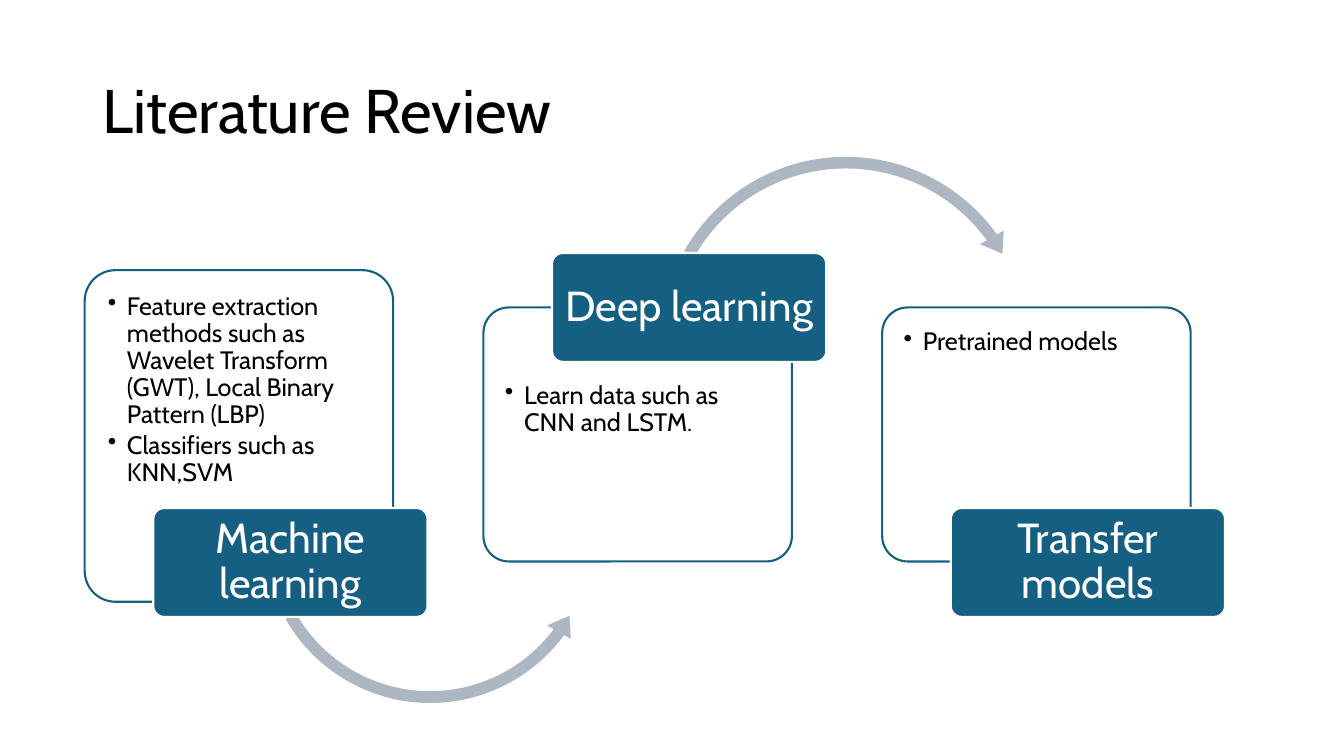
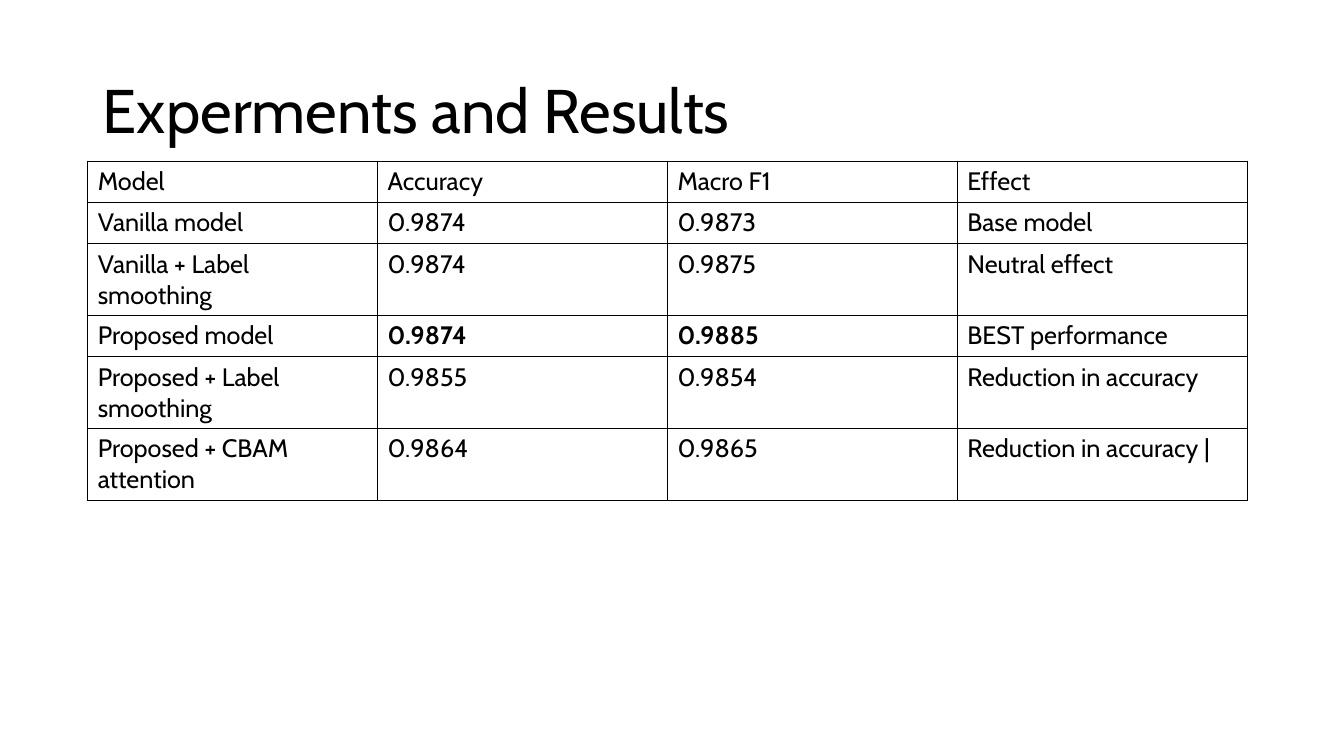
from lxml.etree import SubElement
from pptx import Presentation
from pptx.dml.color import RGBColor
from pptx.enum.shapes import MSO_SHAPE as SHAPE
from pptx.enum.text import MSO_ANCHOR as ANCHOR, MSO_AUTO_SIZE as AUTO, PP_ALIGN as ALIGN
from pptx.oxml.ns import qn
from pptx.util import Inches, Pt

FONT = "Cabin"
BLACK, WHITE, BLUE, GREY = "000000", "FFFFFF", "156082", "ACB7C1"

PANEL_W, PANEL_LEFT, PANEL_STEP = 3.06, 0.84, 3.955
LABEL_W, LABEL_H, LABEL_SHIFT = 2.72, 1.08, 0.68
LABEL_LOW, LABEL_HIGH = 5.04, 2.51

STAGES = [
    dict(label="Machine learning", top=2.68, height=3.29, label_top=LABEL_LOW,
         points=["Feature extraction methods such as Wavelet Transform (GWT), "
                 "Local Binary Pattern (LBP)",
                 "Classifiers such as KNN,SVM"],
         arrow=(SHAPE.LEFT_CIRCULAR_ARROW, 2.54, 3.6, 3.45,
                (0.034, 4.181, 21.902, 90.211, 0.039))),
    dict(label="Deep learning", top=3.05, height=2.52, label_top=LABEL_HIGH,
         points=["Learn data such as CNN and LSTM."], text_top=0.67,
         arrow=(SHAPE.CIRCULAR_ARROW, 6.47, 1.48, 3.84,
                (0.03, 3.725, 194.52, 125.755, 0.035))),
    dict(label="Transfer models", top=3.05, height=2.52, label_top=LABEL_LOW,
         points=["Pretrained models"]),
]

RESULTS = [
    ("Model", "Accuracy", "Macro F1", "Effect"),
    ("Vanilla model", "0.9874", "0.9873", "Base model"),
    ("Vanilla + Label smoothing", "0.9874", "0.9875", "Neutral effect"),
    ("Proposed model", "0.9874", "0.9885", "BEST performance"),
    ("Proposed + Label smoothing", "0.9855", "0.9854", "Reduction in accuracy"),
    ("Proposed + CBAM attention", "0.9864", "0.9865", "Reduction in accuracy |"),
]
BEST_CELLS = {(3, 1), (3, 2)}


def rgb(color):
    return RGBColor.from_string(color)


def add_bullet(p, indent):
    ppr = p._p.get_or_add_pPr()
    ppr.set("marL", str(Inches(indent)))
    ppr.set("indent", str(-Inches(indent)))
    SubElement(ppr, qn("a:buChar")).set("char", "•")


def write(tf, *lines, size=18, color=BLACK, bold=False, align=ALIGN.LEFT,
          anchor=ANCHOR.TOP, spacing=None, after=0, bullet=None, insets=None):
    tf.word_wrap = True
    tf.vertical_anchor = anchor
    if insets:
        tf.margin_left, tf.margin_top, tf.margin_right, tf.margin_bottom = map(Inches, insets)
    for i, line in enumerate(lines):
        p = tf.add_paragraph() if i else tf.paragraphs[0]
        p.alignment = align
        p.line_spacing = spacing
        p.space_before, p.space_after = Pt(0), Pt(after)
        if bullet:
            add_bullet(p, bullet)
        r = p.add_run()
        r.text = line
        r.font.name, r.font.size, r.font.bold = FONT, Pt(size), bold
        r.font.color.rgb = rgb(color)


def set_borders(cell, color, width):
    tcpr = cell._tc.get_or_add_tcPr()
    for i, side in enumerate(("lnL", "lnR", "lnT", "lnB")):
        ln = tcpr.makeelement(qn(f"a:{side}"), {"w": str(Pt(width))})
        fill = SubElement(ln, qn("a:solidFill"))
        SubElement(fill, qn("a:srgbClr")).set("val", color)
        tcpr.insert(i, ln)


class Deck:
    def __init__(self):
        self.prs = Presentation()
        self.prs.slide_width, self.prs.slide_height = Inches(13.33), Inches(7.5)
        self.s = None

    def slide(self, title):
        self.s = self.prs.slides.add_slide(self.prs.slide_layouts[5])
        sp = self.s.shapes.title
        sp.left, sp.top, sp.width, sp.height = map(Inches, (0.92, 0.4, 11.5, 1.45))
        sp.text_frame.auto_size = AUTO.NONE
        write(sp.text_frame, title, size=44, anchor=ANCHOR.MIDDLE, spacing=0.9)

    def shape(self, kind, left, top, width, height, fill, line=None, adjust=()):
        sp = self.s.shapes.add_shape(kind, *map(Inches, (left, top, width, height)))
        sp.shadow.inherit = False
        sp.fill.solid()
        sp.fill.fore_color.rgb = rgb(fill)
        if line:
            sp.line.color.rgb = rgb(line)
            sp.line.width = Pt(1.5)
        else:
            sp.line.fill.background()
        for i, value in enumerate(adjust):
            sp.adjustments[i] = value
        return sp

    def box(self, left, top, width, height, fill, line):
        return self.shape(SHAPE.ROUNDED_RECTANGLE, left, top, width, height, fill, line, (0.1,))

    def panel(self, left, top, height, points, text_top):
        sp = self.box(left, top, PANEL_W, height, WHITE, BLUE)
        write(sp.text_frame, *points, spacing=0.9, after=2.5, bullet=0.19,
              insets=(0.14, text_top, 0.14, 0.14))

    def label(self, left, top, text):
        sp = self.box(left, top, LABEL_W, LABEL_H, BLUE, WHITE)
        write(sp.text_frame, text, size=30, color=WHITE, align=ALIGN.CENTER,
              anchor=ANCHOR.MIDDLE, spacing=0.9, insets=(0.06, 0.04, 0.06, 0.04))

    def arrow(self, kind, left, top, size, adjust):
        self.shape(kind, left, top, size, size, GREY, adjust=adjust)

    def table(self, rows, left, top, width, row_height, bold_cells):
        frame = self.s.shapes.add_table(
            len(rows), len(rows[0]),
            *map(Inches, (left, top, width, row_height * len(rows))))
        table = frame.table
        table.first_row = table.horz_banding = False
        for i, row in enumerate(rows):
            for j, text in enumerate(row):
                cell = table.cell(i, j)
                cell.fill.background()
                set_borders(cell, BLACK, 1)
                write(cell.text_frame, text, bold=(i, j) in bold_cells)


def main():
    deck = Deck()

    deck.slide("Literature Review")
    for i, stage in enumerate(STAGES):
        left = PANEL_LEFT + i * PANEL_STEP
        deck.panel(left, stage["top"], stage["height"], stage["points"],
                   stage.get("text_top", 0.14))
        if "arrow" in stage:
            deck.arrow(*stage["arrow"])
        deck.label(left + LABEL_SHIFT, stage["label_top"], stage["label"])

    deck.slide("Experments and Results")
    deck.table(RESULTS, 0.87, 1.6, 11.5, 0.41, BEST_CELLS)

    deck.prs.save("out.pptx")


if __name__ == "__main__":
    main()
